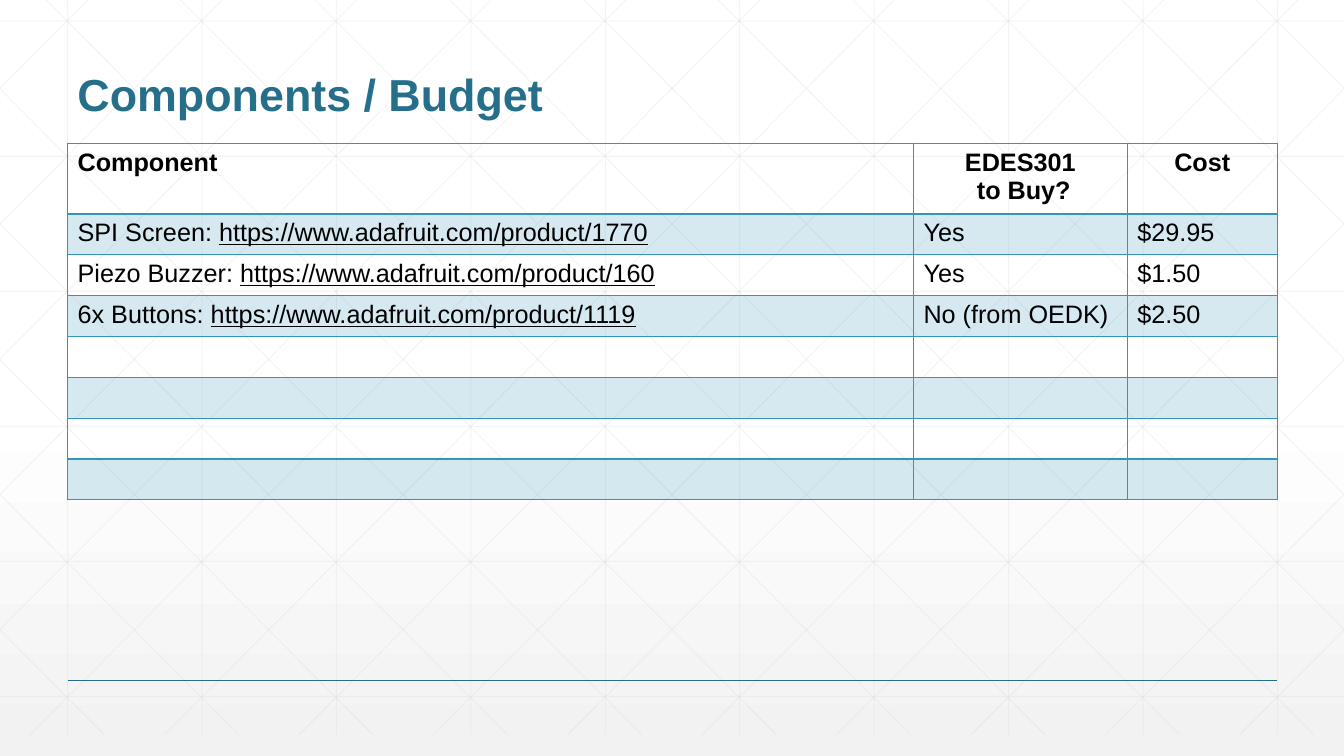
import copy

import pptx
import pptx.dml.color
import pptx.enum.shapes
import pptx.enum.text
import pptx.oxml
import pptx.oxml.ns
import pptx.util

Inches = pptx.util.Inches
Pt = pptx.util.Pt
RGBColor = pptx.dml.color.RGBColor
PP_ALIGN = pptx.enum.text.PP_ALIGN

WHITE = RGBColor(0xFF, 0xFF, 0xFF)
PALE_GRAY = RGBColor(0xF2, 0xF2, 0xF2)
GRID_GRAY = RGBColor(0xD8, 0xD8, 0xD8)
TEAL = RGBColor(0x26, 0x6F, 0x8B)
BLUE = RGBColor(0x34, 0x94, 0xBA)
BLACK = RGBColor(0, 0, 0)

WIDTH, HEIGHT = 13.33, 7.5
MARGIN, CONTENT_WIDTH = 0.67, 12
GRID_STEP = 4 / 3
GRID_TOP, GRID_BOTTOM = -0.21, 7.29

HEADINGS = [["Component"], ["EDES301", " to Buy?"], ["Cost"]]
PARTS = [
    ("SPI Screen: ", "https://www.adafruit.com/product/1770", "Yes", "$29.95"),
    ("Piezo Buzzer: ", "https://www.adafruit.com/product/160", "Yes", "$1.50"),
    ("6x Buttons: ", "https://www.adafruit.com/product/1119", "No (from OEDK)", "$2.50"),
]
BODY_ROWS = 7
COLUMN_WIDTHS = [8.39, 2.12, 1.49]


def set_opacity(element, percent):
    for color in element.iter(pptx.oxml.ns.qn("a:srgbClr")):
        alpha = pptx.oxml.ns.qn("a:alpha")
        color.makeelement(alpha)
        color.append(color.makeelement(alpha, {"val": str(percent * 1000)}))


class SlideBuilder:
    font_name = "Arial"

    def __init__(self, slide):
        self.slide = slide

    def background(self, stops):
        fill = self.slide.background.fill
        fill.gradient()
        fill.gradient_angle = 270
        stop_list = self.slide.element.xpath(".//a:gsLst")[0]
        stop_list.insert(1, copy.deepcopy(stop_list[0]))
        for stop, (position, color) in zip(fill.gradient_stops, stops):
            stop.position = position
            stop.color.rgb = color

    def line(self, start, end, color, width, opacity=100):
        connector = self.slide.shapes.add_connector(
            pptx.enum.shapes.MSO_CONNECTOR.STRAIGHT,
            *(Inches(length) for length in (*start, *end)))
        connector.line.color.rgb = color
        connector.line.width = Pt(width)
        properties = connector.element.spPr
        if opacity < 100:
            set_opacity(properties, opacity)
        properties.append(properties.makeelement(pptx.oxml.ns.qn("a:effectLst")))

    def run(self, paragraph, text, color=BLACK, **formats):
        run = paragraph.add_run()
        run.text = text
        for name, value in {"name": self.font_name, "size": Pt(18), "bold": False, **formats}.items():
            setattr(run.font, name, value)
        run.font.color.rgb = color

    def title(self, text, left, top, width, height):
        box = self.slide.shapes.add_textbox(*map(Inches, (left, top, width, height)))
        frame = box.text_frame
        frame.word_wrap = True
        frame.vertical_anchor = pptx.enum.text.MSO_ANCHOR.BOTTOM
        frame.paragraphs[0].line_spacing = 0.9
        self.run(frame.paragraphs[0], text, TEAL, size=Pt(32), bold=True)

    def table(self, left, top, column_widths, row_heights):
        table = self.slide.shapes.add_table(
            len(row_heights), len(column_widths), Inches(left), Inches(top),
            Inches(sum(column_widths)), Inches(sum(row_heights))).table
        table.first_row = table.horz_banding = False
        for column, width in zip(table.columns, column_widths):
            column.width = Inches(width)
        for row, height in zip(table.rows, row_heights):
            row.height = Inches(height)
        return table

    def cell_style(self, cell, borders, shaded):
        properties = cell._tc.get_or_add_tcPr()
        for side, width in borders.items():
            properties.append(pptx.oxml.parse_xml(
                f'<a:ln{side} {pptx.oxml.ns.nsdecls("a")} w="{Pt(width)}"><a:solidFill>'
                f'<a:srgbClr val="{BLUE}"/></a:solidFill></a:ln{side}>'))
        if shaded:
            cell.fill.solid()
            cell.fill.fore_color.rgb = BLUE
            set_opacity(properties.find(pptx.oxml.ns.qn("a:solidFill")), 20)
        else:
            cell.fill.background()


def draw_grid(builder):
    style = (GRID_GRAY, 0.75, 25)
    for column in range(10):
        x = MARGIN + column * GRID_STEP
        builder.line((x, 0), (x, GRID_BOTTOM), *style)
    for row in range(6):
        y = 0.21 + row * 1.34
        builder.line((0, y), (WIDTH, y), *style)

    # Diagonals, clipped to the slide, each with its mirror image
    slope = 7.5 / 7.45
    for index in range(-5, 10):
        origin = 0.25 + index * GRID_STEP
        y1 = max(0, GRID_TOP - origin * slope)
        y2 = min(GRID_BOTTOM, GRID_TOP + (WIDTH - origin) * slope)
        x1, x2 = (origin + (y - GRID_TOP) / slope for y in (y1, y2))
        builder.line((x1, y1), (x2, y2), *style)
        builder.line((WIDTH - x1, y1), (WIDTH - x2, y2), *style)


def draw_budget(builder):
    budget = builder.table(MARGIN, 1.42, COLUMN_WIDTHS, [0.66] + [2.84 / BODY_ROWS] * BODY_ROWS)
    for row_index, row in enumerate(budget.rows):
        borders = {"L": 1, "R": 1, "T": 2 if row_index == 1 else 1, "B": 2 if row_index == 0 else 1}
        for cell in row.cells:
            builder.cell_style(cell, borders, shaded=row_index % 2 == 1)

    # Header row
    for column, lines in enumerate(HEADINGS):
        frame = budget.cell(0, column).text_frame
        for index, text in enumerate(lines):
            paragraph = frame.add_paragraph() if index else frame.paragraphs[0]
            paragraph.alignment = PP_ALIGN.CENTER if column else PP_ALIGN.LEFT
            builder.run(paragraph, text, bold=True)

    # Listed parts
    for row_index, (part, address, to_buy, cost) in enumerate(PARTS, 1):
        name, purchase, price = (
            budget.cell(row_index, column).text_frame.paragraphs[0] for column in range(3))
        builder.run(name, part)
        builder.run(name, address, underline=True)
        builder.run(purchase, to_buy)
        builder.run(price, cost)


def main():
    deck = pptx.Presentation()
    deck.slide_width, deck.slide_height = Inches(WIDTH), Inches(HEIGHT)
    builder = SlideBuilder(deck.slides.add_slide(deck.slide_layouts[6]))

    # Backdrop
    builder.background([(0, WHITE), (0.53, WHITE), (1, PALE_GRAY)])
    draw_grid(builder)
    builder.line((MARGIN, 6.75), (MARGIN + CONTENT_WIDTH, 6.75), TEAL, 1)

    # Content
    builder.title("Components / Budget", MARGIN, 0.25, CONTENT_WIDTH, 1)
    draw_budget(builder)
    deck.save("out.pptx")


if __name__ == "__main__":
    main()
